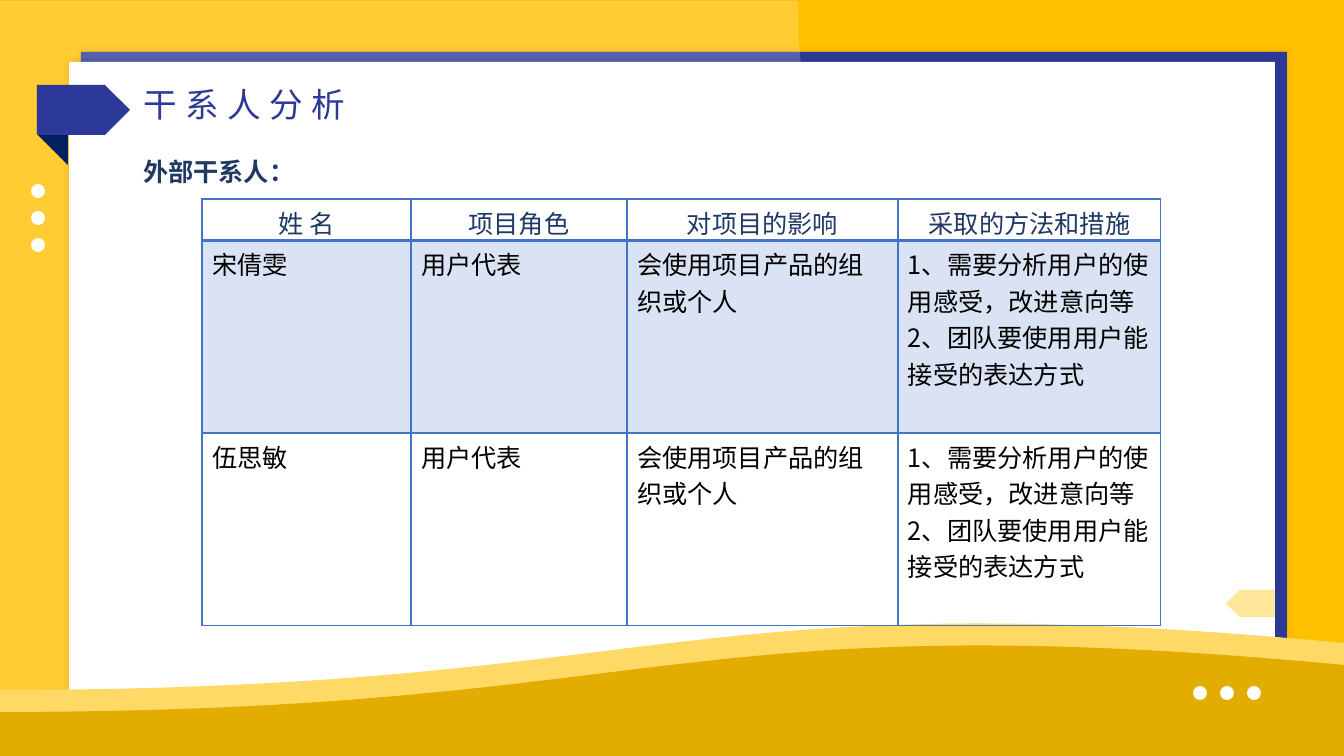
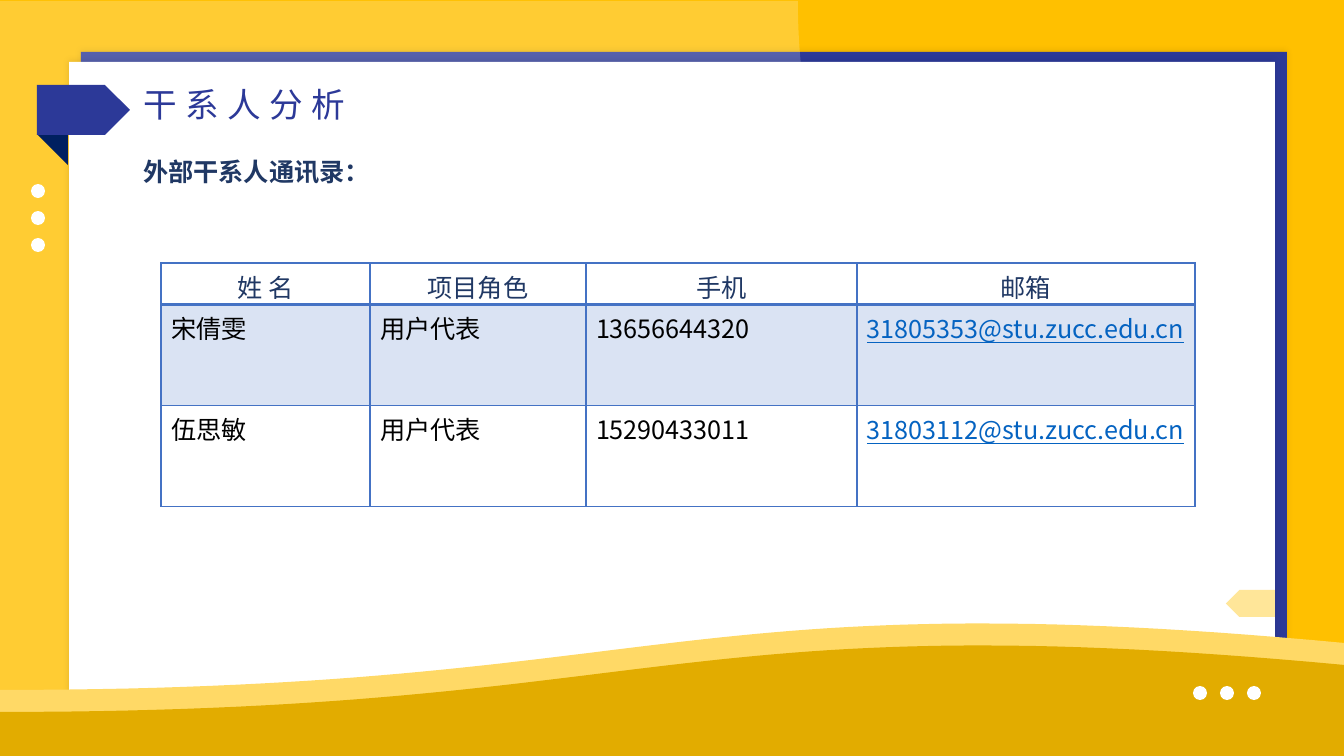
import dataclasses

import lxml.etree
import pptx
import pptx.dml.color
import pptx.enum.shapes
import pptx.enum.text
import pptx.oxml.ns
import pptx.util

PX = 914400 / 100.8
WIDE, HIGH = 1344, 756
KIND = pptx.enum.shapes.MSO_SHAPE
ALIGN = pptx.enum.text.PP_ALIGN
MID = pptx.enum.text.MSO_ANCHOR.MIDDLE
FIXED = pptx.enum.text.MSO_AUTO_SIZE.NONE
qn = pptx.oxml.ns.qn


@dataclasses.dataclass(frozen=True)
class Theme:
    font: str = "Noto Sans CJK SC"
    back: str = "FFC000"
    blue: str = "2C3998"
    fold: str = "002060"
    white: str = "FFFFFF"
    light: str = "FFD966"
    dark: str = "E2AC00"
    pale: str = "FFE699"
    navy: str = "203864"
    black: str = "000000"
    link: str = "0563C1"
    edge: str = "4472C4"
    band: str = "DAE3F3"
    title: int = 24
    text: int = 18


THEME = Theme()


def px(size):
    return pptx.util.Emu(round(size * PX))


def rgb(code):
    return pptx.dml.color.RGBColor.from_string(code)


def assign(item, props):
    for key, value in props.items():
        setattr(item, key, value)


def child(node, tag, **attrs):
    return lxml.etree.SubElement(node, qn(tag), attrs)


def place(item, box):
    assign(item, dict(zip(("left", "top", "width", "height"), map(px, box))))


def paint(shape, color, alpha=None):
    shape.fill.solid()
    shape.fill.fore_color.rgb = rgb(color)
    shape.line.fill.background()
    shape.shadow.inherit = False
    if alpha:
        tint = shape.element.spPr.find(".//" + qn("a:srgbClr"))
        child(tint, "a:alpha", val=str(alpha * 1000))
    return shape


def block(shapes, kind, box, color, turn=0, alpha=None):
    shape = shapes.add_shape(kind, *map(px, box))
    shape.rotation = turn
    return paint(shape, color, alpha)


def panel(shapes, box, color):
    shape = block(shapes, KIND.RECTANGLE, box, color)
    glow = child(shape.element.spPr.find(qn("a:effectLst")), "a:outerShdw",
                 blurRad=str(pptx.util.Pt(5)), dist="0", dir="0",
                 algn="ctr", rotWithShape="0")
    tint = child(glow, "a:srgbClr", val=THEME.black)
    child(tint, "a:alpha", val="10000")


def wave(shapes, drop, color, steps=60):
    xs, ys = (0, 672, 672, WIDE), (690, 580, 643)
    ys = [y + drop for y in (ys[0], *ys)]

    def curve(ends, t):
        a, b, c, d = ends
        u = 1 - t
        return px(a * u**3 + 3 * b * u * u * t + 3 * c * u * t * t + d * t**3)

    points = [(curve(xs, i / steps), curve(ys, i / steps)) for i in range(steps + 1)]
    form = shapes.build_freeform(0, px(HIGH), 1)
    form.add_line_segments(points + [(px(WIDE), px(HIGH))], close=True)
    paint(form.convert_to_shape(), color)


def dots(shapes, left, top, right, down):
    for i in range(3):
        block(shapes, KIND.OVAL, (left + i * right, top + i * down, 14, 14), THEME.white)


def decor(shapes):
    panel(shapes, (81, 52, 1206, 632), THEME.blue)
    block(shapes, KIND.FLOWCHART_DOCUMENT, (120, -119, 755, 995), THEME.white, 270, 20)
    panel(shapes, (69, 62, 1206, 632), THEME.white)
    wave(shapes, 0, THEME.light)
    wave(shapes, 22, THEME.dark)
    dots(shapes, 1193, 686, 27, 0)
    dots(shapes, 31, 184, 0, 27)
    block(shapes, KIND.RIGHT_TRIANGLE, (37, 134, 31, 31), THEME.fold, 180)
    block(shapes, KIND.PENTAGON, (37, 85, 93, 50), THEME.blue)
    block(shapes, KIND.PENTAGON, (1226, 590, 49, 27), THEME.pale, 180)


def frame(layout, slide):
    layout.background.fill.solid()
    layout.background.fill.fore_color.rgb = rgb(THEME.back)
    for mark, box in zip(layout.placeholders, ((133, 79, 800, 50), (133, 139, 511, 50))):
        place(mark, box)
    decor(slide.shapes)
    drawn = [shape for shape in slide.shapes if not shape.is_placeholder]
    for i, shape in enumerate(drawn):
        shape.element.xpath(".//p:cNvPr")[0].set("id", str(100 + i))
        layout.shapes.element.insert(2 + i, shape.element)


def write(para, text, color, **props):
    run = para.add_run()
    run.text = text
    run.font.color.rgb = rgb(color)
    assign(run.font, {"name": THEME.font, "size": pptx.util.Pt(THEME.text), **props})
    mark = run.font._element
    child(mark, "a:ea", typeface=THEME.font)
    return mark


def label(holder, text, color, pitch, **props):
    body = holder.text_frame
    assign(body, {"word_wrap": True, "auto_size": FIXED, "vertical_anchor": MID})
    para = body.paragraphs[0]
    style = para._p.get_or_add_pPr()
    assign(para, {"alignment": ALIGN.LEFT, "line_spacing": pitch,
                  "space_before": pptx.util.Pt(0)})
    style.set("marL", "0")
    style.set("indent", "0")
    child(style, "a:buNone")
    return write(para, text, color, **props)


def border(cell, top, base):
    style = cell._tc.get_or_add_tcPr()
    for side, width in (("L", 1), ("R", 1), ("T", top), ("B", base)):
        line = child(style, "a:ln" + side, w=str(pptx.util.Pt(width)))
        child(child(line, "a:solidFill"), "a:srgbClr", val=THEME.edge)


def fill(cell, text, row):
    head = row == 0
    border(cell, 2 if row == 1 else 1, 2 if head else 1)
    if row == 1:
        cell.fill.solid()
        cell.fill.fore_color.rgb = rgb(THEME.band)
    else:
        cell.fill.background()
    if head:
        cell.margin_bottom = 0
    mail = "@" in text
    color = THEME.navy if head else THEME.link if mail else THEME.black
    for i, line in enumerate(text.split("\n")):
        para = cell.text_frame.add_paragraph() if i else cell.text_frame.paragraphs[0]
        para.alignment = ALIGN.CENTER if head else ALIGN.LEFT
        write(para, line, color, underline=mail)


def grid(slide, left, top, cols, rows, data):
    box = (left, top, sum(cols), sum(rows))
    table = slide.shapes.add_table(len(rows), len(cols), *map(px, box)).table
    assign(table, {"first_row": False, "horz_banding": False})
    for col, width in zip(table.columns, cols):
        col.width = px(width)
    for r, (height, texts) in enumerate(zip(rows, data)):
        table.rows[r].height = px(height)
        for c, text in enumerate(texts):
            fill(table.cell(r, c), text, r)


def page(slide, lead, **table):
    mark = label(slide.shapes.title, "干系人分析", THEME.blue, 1.0,
                 size=pptx.util.Pt(THEME.title), bold=False)
    mark.set("spc", "600")
    label(slide.placeholders[1], lead, THEME.navy, 1.5, bold=True)
    grid(slide, **table)


def main():
    deck = pptx.Presentation()
    assign(deck, {"slide_width": px(WIDE), "slide_height": px(HIGH)})
    layout = deck.slide_layouts[1]
    first, second = (deck.slides.add_slide(layout) for _ in range(2))
    frame(layout, first)

    names, role = ("宋倩雯", "伍思敏"), "用户代表"
    impact = "会使用项目产品的组织或个人"
    steps = "1、需要分析用户的使用感受，改进意向等\n2、团队要使用用户能接受的表达方式"
    page(first, "外部干系人：", left=202, top=199,
         cols=(209, 216, 271, 263), rows=(41, 191, 191),
         data=[("姓 名", "项目角色", "对项目的影响", "采取的方法和措施"),
               *((name, role, impact, steps) for name in names)])

    phones = ("13656644320", "15290433011")
    mails = ("31805353@stu.zucc.edu.cn", "31803112@stu.zucc.edu.cn")
    page(second, "外部干系人通讯录：", left=161, top=263,
         cols=(209, 216, 271, 338), rows=(41, 101, 101),
         data=[("姓 名", "项目角色", "手机", "邮箱"),
               *((name, role, phone, mail)
                 for name, phone, mail in zip(names, phones, mails))])
    deck.save("out.pptx")


if __name__ == "__main__":
    main()
